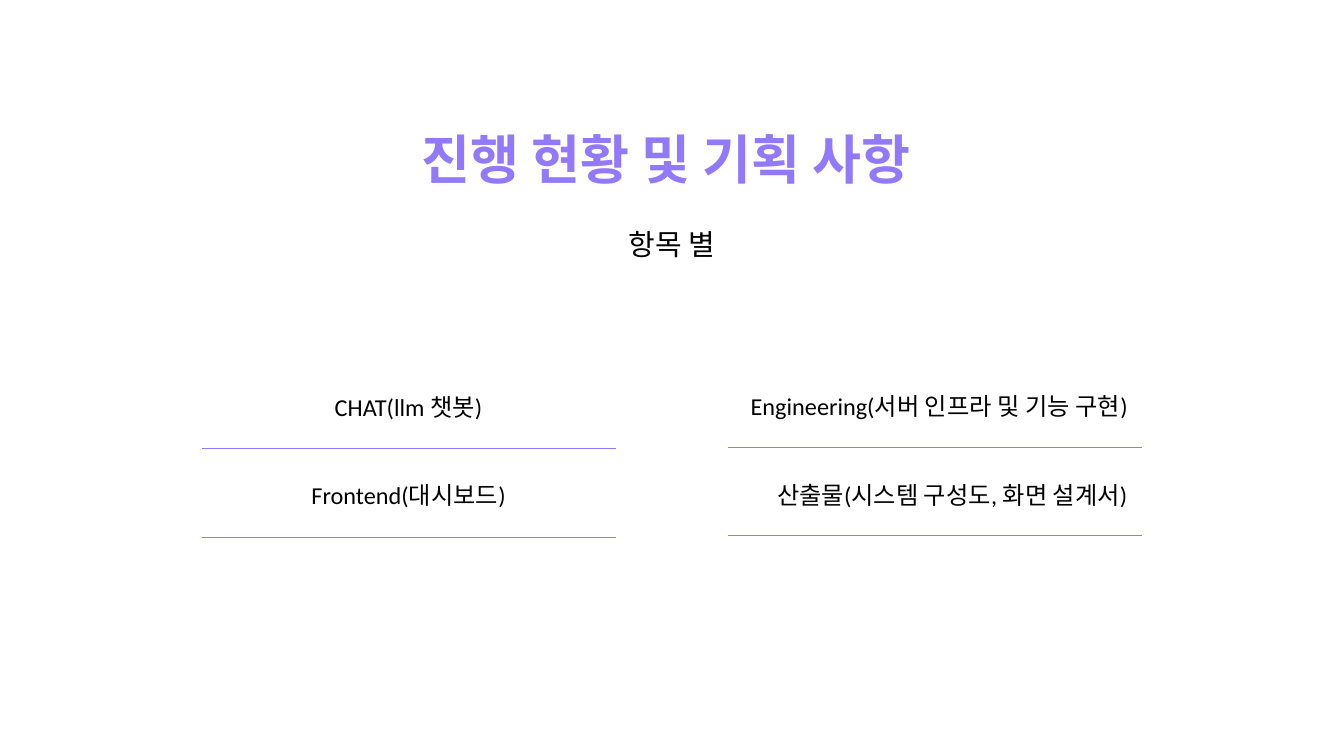
from dataclasses import dataclass

from lxml.etree import SubElement
from pptx import Presentation
from pptx.dml.color import RGBColor
from pptx.enum.shapes import MSO_CONNECTOR as Connector
from pptx.enum.text import MSO_ANCHOR as Anchor, MSO_AUTO_SIZE as AutoSize, PP_ALIGN as Align
from pptx.oxml.ns import qn
from pptx.shapes.base import BaseShape
from pptx.slide import Slide
from pptx.util import Inches, Pt


@dataclass(frozen=True)
class Theme:
    """Colours, font and type sizes of the slide."""
    accent: RGBColor = RGBColor(0x91, 0x79, 0xFA)
    ink: RGBColor = RGBColor(0, 0, 0)
    font: str = "Calibri"
    title: float = 57
    subtitle: float = 31
    item: float = 26
    rule: float = 0.75


@dataclass(frozen=True)
class Item:
    """A centred label with a rule below it."""
    text: str
    left: float
    width: float
    top: float
    rule_left: float
    rule_y: float


THEME = Theme()
RULE_WIDTH = 6.16
ROW_STEP = 1.32
LEFT, RIGHT = 3, 10.84
ITEMS = (
    Item("CHAT(llm 챗봇)", LEFT, 6.16, 5.76, LEFT, 6.67),
    Item("Frontend(대시보드)", LEFT, 6.16, 5.76 + ROW_STEP, LEFT, 6.67 + ROW_STEP),
    Item("Engineering(서버 인프라 및 기능 구현)", 10.95, 6.05, 5.75, RIGHT, 6.65),
    Item("산출물(시스템 구성도, 화면 설계서)", 11.34, 5.66, 5.76 + ROW_STEP, RIGHT, 6.65 + ROW_STEP),
)


def place(sp: BaseShape, left: float, top: float, width: float, height: float) -> None:
    """Move and size a shape, in inches."""
    sp.left, sp.top = Inches(left), Inches(top)
    sp.width, sp.height = Inches(width), Inches(height)


def write(sp: BaseShape, text: str, *, size: float, leading: float,
          color: RGBColor = THEME.ink, bold: bool = False) -> None:
    """Fill a shape with one centred, formatted paragraph."""
    tf = sp.text_frame
    tf.word_wrap = True
    tf.auto_size = AutoSize.NONE
    tf.vertical_anchor = Anchor.TOP
    tf.margin_left = tf.margin_top = tf.margin_right = tf.margin_bottom = 0
    p = tf.paragraphs[0]
    p.alignment = Align.CENTER
    p.line_spacing = Pt(leading)
    p.space_before = Pt(0)
    r = p.add_run()
    r.text = text
    r.font.name, r.font.size, r.font.bold = THEME.font, Pt(size), bold
    r.font.color.rgb = color


def draw_item(s: Slide, item: Item) -> None:
    """Draw a label and its rule."""
    sp = s.shapes.add_textbox(Inches(item.left), Inches(item.top), Inches(item.width), Inches(0.47))
    write(sp, item.text, size=THEME.item, leading=36.4)
    y = Inches(item.rule_y)
    rule = s.shapes.add_connector(
        Connector.STRAIGHT, Inches(item.rule_left), y, Inches(item.rule_left + RULE_WIDTH), y)
    rule.line.color.rgb = THEME.accent
    rule.line.width = Pt(THEME.rule)
    SubElement(rule._element.spPr, qn("a:effectLst"))


def main() -> None:
    """Build and save the slide."""
    prs = Presentation()
    prs.slide_width, prs.slide_height = Inches(20), Inches(11.25)
    s = prs.slides.add_slide(prs.slide_layouts[0])
    title, subtitle = s.shapes.title, s.placeholders[1]
    place(title, 1.12, 1.88, 17.75, 0.96)
    write(title, "진행 현황 및 기획 사항 ", size=THEME.title, leading=68.4,
          color=THEME.accent, bold=True)
    place(subtitle, 1.12, 3.37, 17.75, 0.52)
    write(subtitle, "항목 별", size=THEME.subtitle, leading=37.2)
    for item in ITEMS:
        draw_item(s, item)
    prs.save("out.pptx")


if __name__ == "__main__":
    main()
